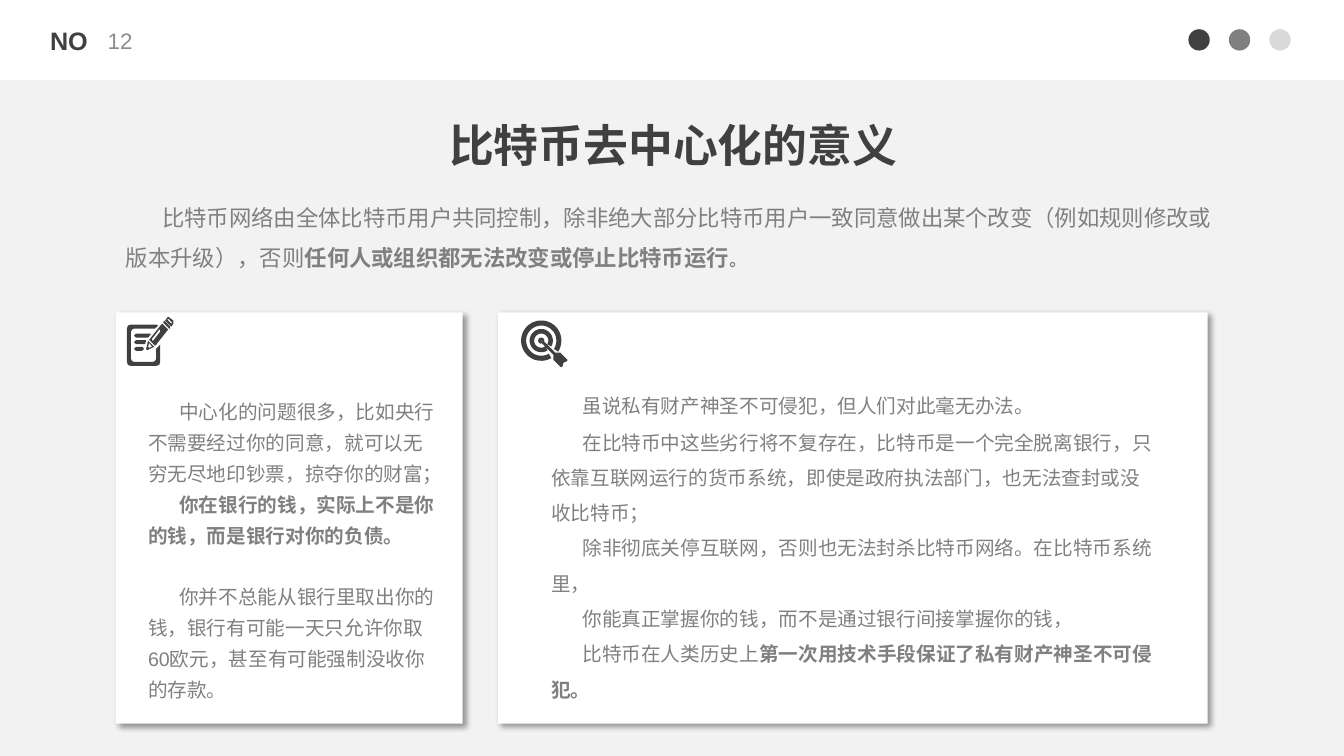
import dataclasses
import math

import lxml.etree
import pptx
import pptx.dml.color
import pptx.enum.shapes
import pptx.enum.text
import pptx.oxml.ns
import pptx.util

SHAPE = pptx.enum.shapes.MSO_SHAPE
ALIGN = pptx.enum.text.PP_ALIGN
ANCHOR = pptx.enum.text.MSO_ANCHOR
CELL = pptx.util.Inches(1) // 12  # the page is a grid of 160 columns by 90 rows


@dataclasses.dataclass(frozen=True)
class Theme:
    page: str = "F2F2F2"
    panel: str = "FFFFFF"
    dark: str = "404040"
    body: str = "808080"
    number: str = "8C8C8C"
    pale: str = "D9D9D9"
    shadow: str = "000000"
    text_font: str = "Arial"
    title_font: str = "Noto Sans CJK SC"
    title_size: int = 32
    label_size: int = 18
    intro_size: int = 16
    card_size: int = 14
    small_size: int = 12


THEME = Theme()

# Icon outlines in hundredths of an inch
NOTEPAD = [
    [(4, 8), (29, 8), (31, 9), (28, 12), (7, 12), (5, 13), (4, 15), (4, 42), (5, 44), (7, 45),
     (26, 45), (28, 44), (29, 42), (29, 32), (33, 28), (33, 45), (32, 48), (29, 49), (4, 49),
     (1, 48), (0, 45), (0, 12), (1, 9)],
    [(9, 17), (24, 17), (21, 21), (9, 21), (7, 19)],
    [(9, 23.5), (19, 23.5), (18, 27.5), (9, 27.5), (7, 25.5)],
    [(9, 30), (15, 30), (17, 32), (15, 34), (9, 34), (7, 32)],
    [(21, 24), (27, 30), (20, 33.5), (19, 32.5)],
    [(22, 26), (21, 30), (22, 31), (25, 30)],
    [(35, 7), (41, 13), (40, 14), (29, 28), (28, 29), (22, 23), (23, 22), (34, 8)],
    [(33, 13), (32, 13), (25, 22), (25, 24), (26, 24), (33, 15)],
    [(37, 4), (43, 10), (43, 12), (42, 12), (36, 6)],
    [(41, 0), (42, 1), (46, 4), (46, 7), (44, 10), (38, 4), (40, 1)],
    [(41, 2), (40, 3), (44, 7), (45, 6)],
]
ARROW = [(1, 3), (0, 1), (2, 0), (14, 12), (19, 12), (26, 19), (26, 20), (22, 22), (21, 26),
         (19, 26), (12, 19), (12, 14)]


def color(value):
    return pptx.dml.color.RGBColor.from_string(value)


def arc_band(outer, inner, start, end, steps=48):
    """Outline of a ring segment around the origin, angles in degrees."""
    angles = [math.radians(start + (end - start) * i / steps) for i in range(steps + 1)]
    return ([(outer * math.cos(a), outer * math.sin(a)) for a in angles]
            + [(inner * math.cos(a), inner * math.sin(a)) for a in reversed(angles)])


def cells(*lengths):
    return [round(length * CELL) for length in lengths]


def paint(shape, fill):
    shape.shadow.inherit = False
    shape.fill.solid()
    shape.fill.fore_color.rgb = color(fill)
    shape.line.fill.background()
    return shape


def add_panel(page, kind, area, fill):
    return paint(page.shapes.add_shape(kind, *cells(*area)), fill)


def add_card(page, area):
    card = add_panel(page, SHAPE.RECTANGLE, area, THEME.panel)
    tag = pptx.oxml.ns.qn
    effects = card._element.spPr.find(tag("a:effectLst"))
    shadow = lxml.etree.SubElement(
        effects, tag("a:outerShdw"), blurRad=str(pptx.util.Pt(4)), dist=str(pptx.util.Pt(3)),
        dir="2700000", algn="tl", rotWithShape="0")
    tint = lxml.etree.SubElement(shadow, tag("a:srgbClr"), val=THEME.shadow)
    lxml.etree.SubElement(tint, tag("a:alpha"), val="40000")


def add_icon(page, origin, outlines):
    fine = [[(x * 10, y * 10) for x, y in outline] for outline in outlines]
    builder = page.shapes.build_freeform(*fine[0][0], scale=pptx.util.Inches(1) / 1000)
    builder.add_line_segments(fine[0][1:], close=True)
    for outline in fine[1:]:
        builder.move_to(*outline[0])
        builder.add_line_segments(outline[1:], close=True)
    paint(builder.convert_to_shape(*cells(*origin)), THEME.dark)


def add_box(page, area):
    return page.shapes.add_textbox(*cells(*area))


def place(box, area):
    box.left, box.top, box.width, box.height = cells(*area)
    return box


def add_span(para, text, size, tint, bold=False, font=THEME.text_font):
    span = para.add_run()
    span.text = text
    span.font.size = pptx.util.Pt(size)
    span.font.bold = bold
    span.font.name = font
    span.font.color.rgb = color(tint)
    east_asian = lxml.etree.SubElement(span._r.get_or_add_rPr(), pptx.oxml.ns.qn("a:ea"))
    east_asian.set("typeface", font)


def write(box, paras, spacing=None, indent=0, align=ALIGN.LEFT, anchor=ANCHOR.TOP, wrap=True):
    """Fill a box; each paragraph is a list of argument tuples for add_span."""
    frame = box.text_frame
    frame.word_wrap = wrap
    frame.auto_size = pptx.enum.text.MSO_AUTO_SIZE.NONE
    frame.vertical_anchor = anchor
    for number, spans in enumerate(paras):
        para = frame.add_paragraph() if number else frame.paragraphs[0]
        props = para._p.get_or_add_pPr()
        props.set("marL", "0")
        props.set("indent", str(pptx.util.Inches(indent)))
        lxml.etree.SubElement(props, pptx.oxml.ns.qn("a:buNone"))
        para.alignment = align
        para.space_before = pptx.util.Pt(0)
        if spacing:
            para.line_spacing = spacing
        for span in spans:
            add_span(para, *span)
    return frame


def add_header(page):
    add_panel(page, SHAPE.RECTANGLE, (0, 0, 160, 9.5), THEME.panel)
    for number, tint in enumerate((THEME.dark, THEME.body, THEME.pale)):
        add_panel(page, SHAPE.OVAL, (141.48 + 4.82 * number, 3.48, 2.54, 2.54), tint)
    write(add_box(page, (4.68, 2.4, 6.96, 4.8)),
          [[("NO", THEME.label_size, THEME.dark, True)]], align=ALIGN.RIGHT, wrap=False)
    write(add_box(page, (11.64, 2.4, 8.52, 4.8)),
          [[("12", THEME.intro_size, THEME.number)]], anchor=ANCHOR.MIDDLE)


def add_intro(page):
    title, intro = page.placeholders
    write(place(title, (47.4, 13.32, 65.52, 7.68)),
          [[("比特币去中心化的意义", THEME.title_size, THEME.dark, True, THEME.title_font)]],
          align=ALIGN.CENTER, anchor=ANCHOR.MIDDLE)
    write(place(intro, (13.8, 22.08, 132.24, 10.92)), [[
        ("比特币网络由全体比特币用户共同控制，除非绝大部分比特币用户一致同意做出某个改变"
         "（例如规则修改或版本升级），否则", THEME.intro_size, THEME.body),
        ("任何人或组织都无法改变或停止比特币运行", THEME.intro_size, THEME.body, True),
        ("。", THEME.small_size, THEME.body, True),
    ]], spacing=1.5, indent=0.36)


def add_problem_card(page):
    style = THEME.card_size, THEME.body
    add_card(page, (13.8, 37.2, 41.28, 48.96))
    add_icon(page, (15.12, 37.68), NOTEPAD)
    frame = write(add_box(page, (16.44, 46.2, 36.96, 37.92)), [
        [("中心化的问题很多，比如央行不需要经过你的同意，就可以无穷无尽地印钞票，掠夺你的财富；", *style)],
        [("你在银行的钱，实际上不是你的钱，而是银行对你的负债。", *style, True)],
        [("你并不总能从银行里取出你的钱，银行有可能一天只允许你取60欧元，甚至有可能强制没收你的存款。",
          *style)],
    ], spacing=pptx.util.Pt(22), indent=0.31)
    frame.paragraphs[2].space_before = pptx.util.Pt(22)


def add_answer_card(page):
    style = THEME.card_size, THEME.body
    add_card(page, (59.28, 37.2, 84.48, 48.96))
    add_icon(page, (64.44, 40.56), [
        arc_band(20, 15, 60, 393), arc_band(11.5, 7, 57, 390), arc_band(3, 0, 85, 365), ARROW])
    frame = write(add_box(page, (64.44, 44.9, 74.88, 40)), [
        [("虽说私有财产神圣不可侵犯，但人们对此毫无办法。", *style)],
        [("在比特币中这些劣行将不复存在，比特币是一个完全脱离银行，只依靠互联网运行的货币系统，"
          "即使是政府执法部门，也无法查封或没收比特币；", *style)],
        [("除非彻底关停互联网，否则也无法封杀比特币网络。在比特币系统里，", *style)],
        [("你能真正掌握你的钱，而不是通过银行间接掌握你的钱，", *style)],
        [("比特币在人类历史上", *style), ("第一次用技术手段保证了私有财产神圣不可侵犯。", *style, True)],
    ], spacing=1.5, indent=0.31)
    frame.paragraphs[0].space_after = pptx.util.Pt(1)


def main():
    deck = pptx.Presentation()
    deck.slide_width, deck.slide_height = cells(160, 90)
    page = deck.slides.add_slide(deck.slide_layouts[1])
    page.background.fill.solid()
    page.background.fill.fore_color.rgb = color(THEME.page)
    add_header(page)
    add_intro(page)
    add_problem_card(page)
    add_answer_card(page)
    deck.save("out.pptx")


if __name__ == "__main__":
    main()
